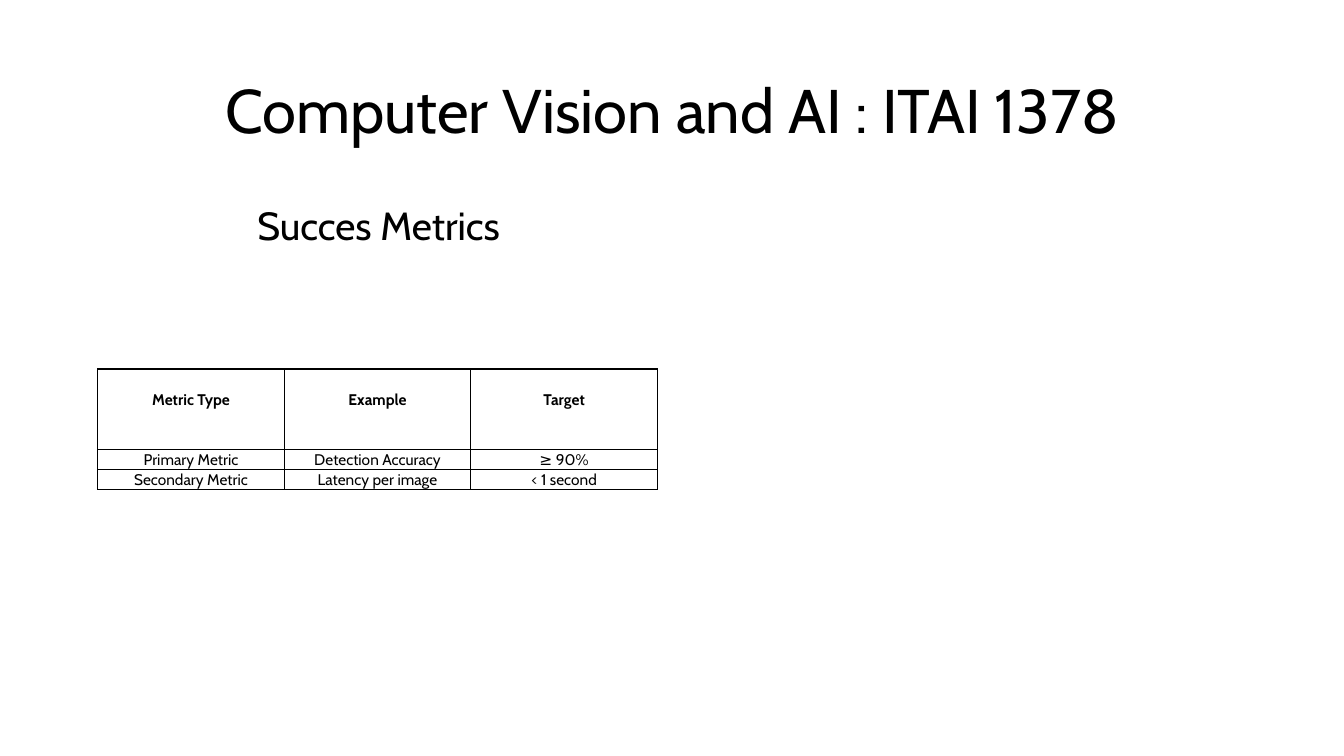
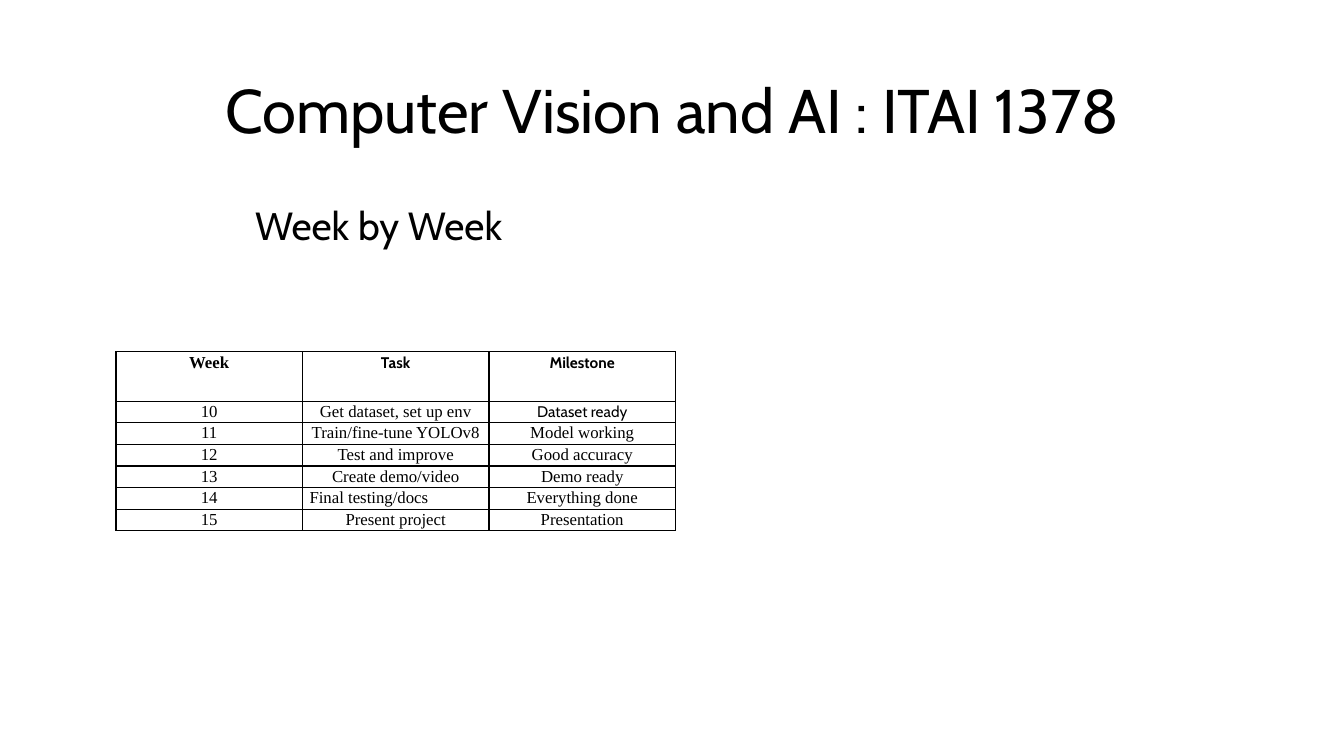
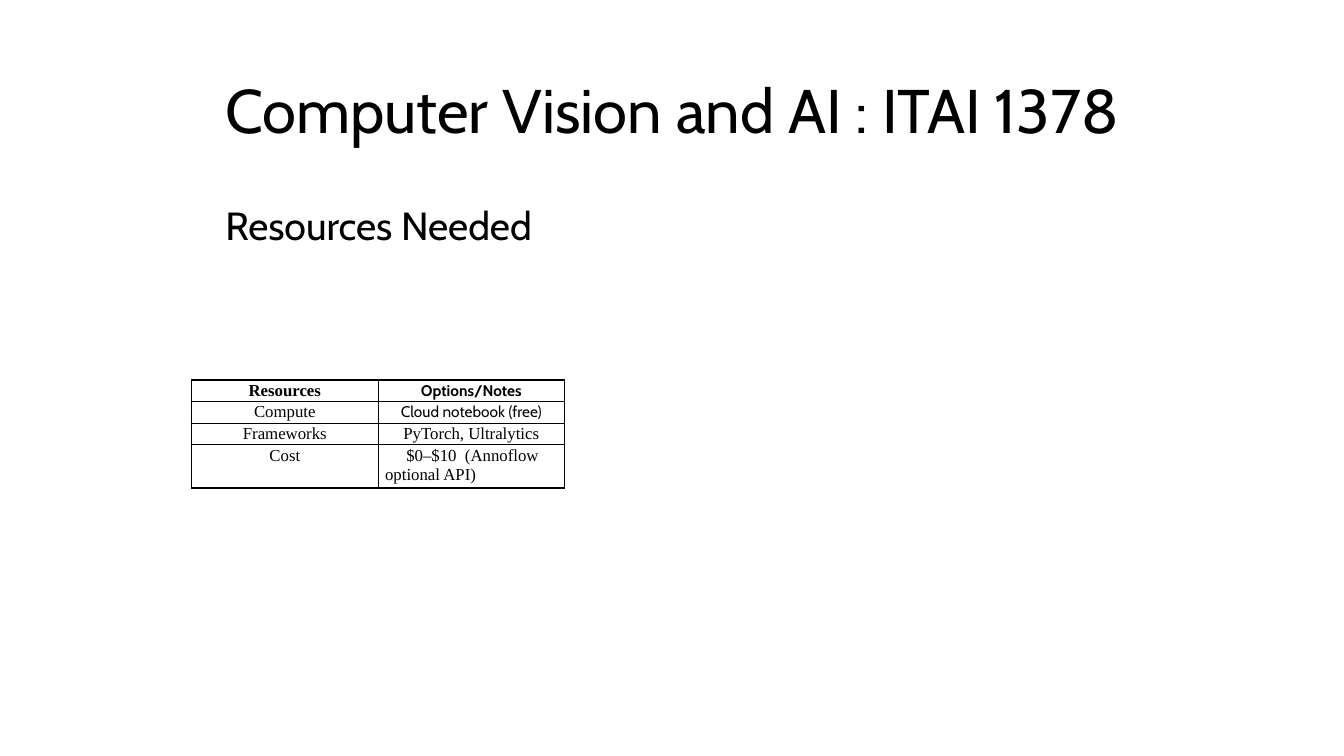
from lxml.etree import SubElement
from pptx import Presentation
from pptx.dml.color import RGBColor
from pptx.enum.text import MSO_ANCHOR as ANCHOR, PP_ALIGN as ALIGN
from pptx.oxml.ns import qn
from pptx.util import Inches, Pt

BLACK = RGBColor(0x00, 0x00, 0x00)
SANS, SERIF = "Cabin", "Times New Roman"
SLIDE_W, SLIDE_H = 13.33, 7.5
MARGIN = 0.92
COL_W, MIN_ROW_H, LINE_H = 1.85, 0.1, 0.2
COURSE = "Computer Vision and AI : ITAI 1378"

METRICS = [
    ["Metric Type", "Example", "Target"],
    ["Primary Metric", "Detection Accuracy", "≥ 90%"],
    ["Secondary Metric", "Latency per image", "< 1 second"],
]
WEEKS = [
    ["Week", "Task", "Milestone"],
    ["10", "Get dataset, set up env", "Dataset ready"],
    ["11", "Train/fine-tune YOLOv8", "Model working"],
    ["12", "Test and improve", "Good accuracy"],
    ["13", "Create demo/video", "Demo ready"],
    ["14", "Final testing/docs", "Everything done"],
    ["15", "Present project", "Presentation"],
]
RESOURCES = [
    ["Resources", "Options/Notes"],
    ["Compute", "Cloud notebook (free)"],
    ["Frameworks", "PyTorch, Ultralytics"],
    ["Cost", "$0–$10  (Annoflow optional API)"],
]


def style_paragraph(p, size, font, spacing, bold=False):
    p.alignment = ALIGN.CENTER
    p.line_spacing = spacing
    for r in p.runs:
        r.font.size = Pt(size)
        r.font.name = font
        r.font.bold = bold
        r.font.color.rgb = BLACK


def add_text(slide, text, box, size, anchor=ANCHOR.TOP):
    tf = slide.shapes.add_textbox(*map(Inches, box)).text_frame
    tf.word_wrap = True
    tf.vertical_anchor = anchor
    p = tf.paragraphs[0]
    p.text = text
    style_paragraph(p, size, SANS, 0.9)
    return p


def add_borders(cell):
    props = cell._tc.get_or_add_tcPr()
    for side in ("lnL", "lnR", "lnT", "lnB"):
        line = SubElement(props, qn(f"a:{side}"), w=str(Pt(1)))
        fill = SubElement(line, qn("a:solidFill"))
        SubElement(fill, qn("a:srgbClr"), val=str(BLACK))


def fill_cell(cell, text, font, bold):
    add_borders(cell)
    cell.fill.background()
    cell.margin_left = cell.margin_right = Inches(0.07)
    cell.margin_top = cell.margin_bottom = 0
    p = cell.text_frame.paragraphs[0]
    p.text = text
    style_paragraph(p, 11 if font == SANS else 12, font, 1.07, bold)


def add_grid(slide, data, left, top, header_h=MIN_ROW_H, all_sans=False):
    rows, cols = len(data), len(data[0])
    height = header_h + (rows - 1) * MIN_ROW_H
    box = map(Inches, (left, top, cols * COL_W, height))
    table = slide.shapes.add_table(rows, cols, *box).table
    table.first_row = table.horz_banding = False
    for column in table.columns:
        column.width = Inches(COL_W)
    for i, values in enumerate(data):
        table.rows[i].height = Inches(MIN_ROW_H if i else header_h)
        for j, text in enumerate(values):
            sans = all_sans or (i == 0 and j > 0) or (i == 1 and j == cols - 1)
            fill_cell(table.cell(i, j), text, SANS if sans else SERIF, i == 0)
    return table


def add_slide(prs, heading):
    slide = prs.slides.add_slide(prs.slide_layouts[6])
    add_text(slide, COURSE, (MARGIN, 0.4, 11.5, 1.45), 44, ANCHOR.MIDDLE)
    p = add_text(slide, heading, (MARGIN, 2, 5.67, 4.76), 28)
    p.space_before = Pt(10)
    return slide


def main():
    prs = Presentation()
    prs.slide_width, prs.slide_height = Inches(SLIDE_W), Inches(SLIDE_H)

    slide = add_slide(prs, "Succes Metrics")
    table = add_grid(slide, METRICS, 0.97, 3.66, 4 * LINE_H, all_sans=True)
    for cell in table.rows[0].cells:
        cell.margin_top = Inches(LINE_H)

    slide = add_slide(prs, "Week by Week")
    table = add_grid(slide, WEEKS, 1.15, 3.49, 0.49)
    table.cell(5, 1).text_frame.paragraphs[0].alignment = ALIGN.LEFT

    slide = add_slide(prs, "Resources Needed")
    table = add_grid(slide, RESOURCES, 1.9, 3.77)
    p = table.cell(3, 1).text_frame.paragraphs[0]
    p.alignment = ALIGN.LEFT
    p._p.get_or_add_pPr().set("indent", str(Inches(0.21)))

    prs.save("out.pptx")


if __name__ == "__main__":
    main()
